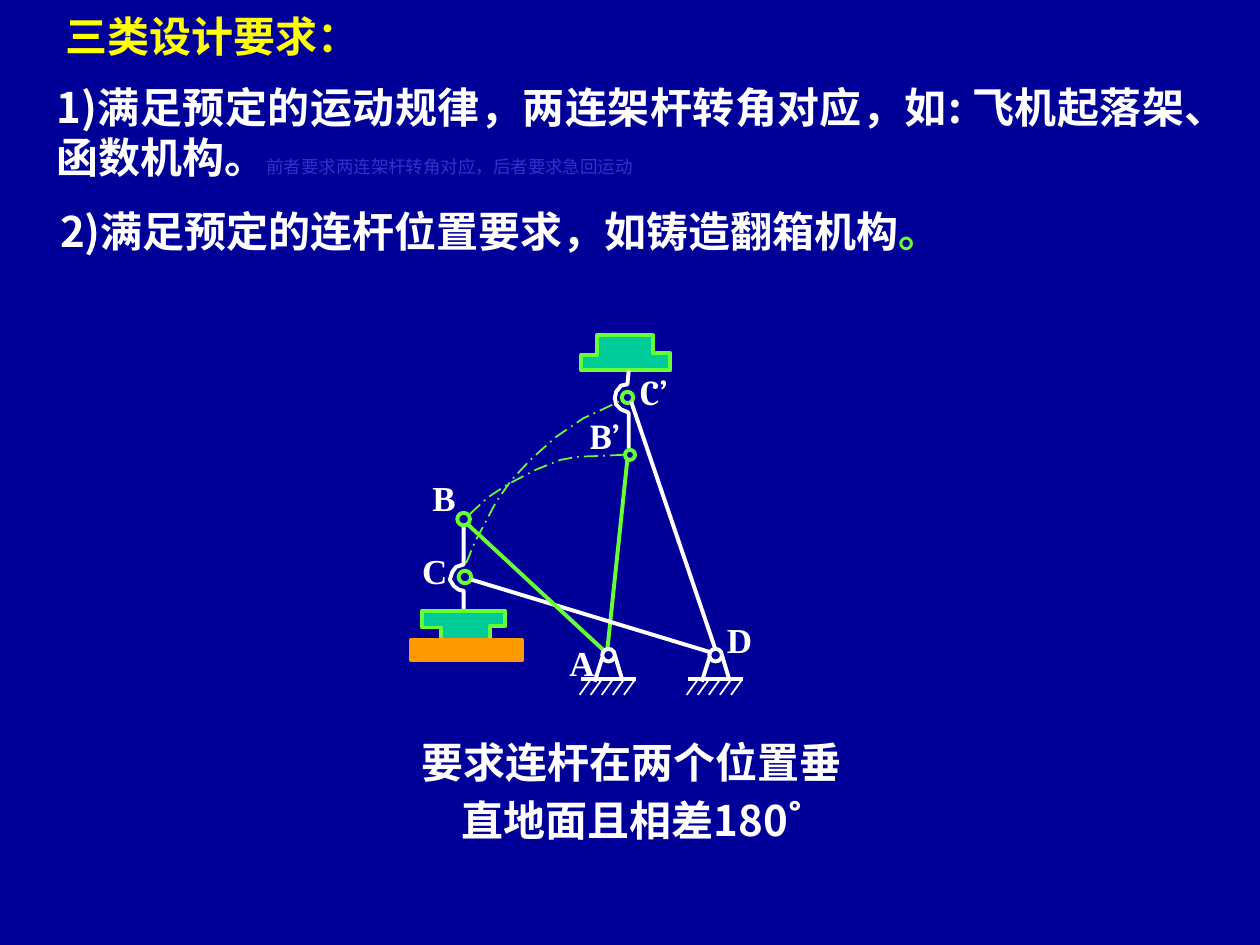
from dataclasses import dataclass

from lxml.etree import SubElement
from pptx import Presentation
from pptx.dml.color import RGBColor
from pptx.enum.dml import MSO_LINE
from pptx.enum.shapes import MSO_CONNECTOR, MSO_SHAPE as SHAPE
from pptx.enum.text import PP_ALIGN as ALIGN
from pptx.oxml.ns import qn
from pptx.util import Inches, Pt


@dataclass(frozen=True)
class Theme:
    """Colours, fonts and sizes of the slide."""
    back: str = "000099"
    white: str = "FFFFFF"
    yellow: str = "FFFF00"
    green: str = "66FF33"
    teal: str = "00CC99"
    orange: str = "FF9900"
    faint: str = "3333CC"
    cjk: str = "Noto Sans CJK SC"
    roman: str = "Times New Roman"
    primed: str = "Cambria"
    body: float = 24
    label: float = 20
    remark: float = 10
    thick: float = 2.25
    thin: float = 1


class Board:
    """Draws on one slide, laid out as 100 columns by 75 rows."""

    def __init__(self, deck, theme):
        """Add a blank slide with the theme's background."""
        self.theme = theme
        self.cell = deck.slide_width / 100
        self.slide = deck.slides.add_slide(deck.slide_layouts[6])
        backdrop = self.slide.background.fill
        backdrop.solid()
        backdrop.fore_color.rgb = RGBColor.from_string(theme.back)

    def grid(self, *cells):
        """Turn grid cells into slide lengths."""
        return [round(value * self.cell) for value in cells]

    def paint(self, shape, line, fill=None, weight=None, dash=None):
        """Set fill and outline of a shape."""
        shape.shadow.inherit = False
        if fill:
            shape.fill.solid()
            shape.fill.fore_color.rgb = RGBColor.from_string(fill)
        else:
            shape.fill.background()
        shape.line.color.rgb = RGBColor.from_string(line)
        shape.line.width = Pt(weight or self.theme.thick)
        if dash:
            shape.line.dash_style = dash

    def outline(self, points, line, fill=None, closed=False, **style):
        """Draw a freeform through grid points."""
        start, *others = [self.grid(*point) for point in points]
        builder = self.slide.shapes.build_freeform(*start)
        builder.add_line_segments(others, close=closed)
        self.paint(builder.convert_to_shape(), line, fill, **style)

    def block(self, kind, left, top, width, height, line, fill=None):
        """Draw a preset shape."""
        place = self.grid(left, top, width, height)
        self.paint(self.slide.shapes.add_shape(kind, *place), line, fill)

    def joint(self, x, y, line, fill=None, size=1):
        """Draw a round joint about its centre."""
        self.block(SHAPE.OVAL, x - size / 2, y - size / 2, size, size, line, fill)

    def rod(self, x1, y1, x2, y2, color, weight=None):
        """Draw a straight line."""
        bar = self.slide.shapes.add_connector(
            MSO_CONNECTOR.STRAIGHT, *self.grid(x1, y1, x2, y2))
        SubElement(bar.line._get_or_add_ln().getparent(), qn("a:effectLst"))
        bar.line.color.rgb = RGBColor.from_string(color)
        bar.line.width = Pt(weight or self.theme.thick)

    def support(self, x):
        """Draw a hatched ground support below a pivot at column x."""
        white = self.theme.white
        self.joint(x, 52, white, self.theme.back)
        self.rod(x - 0.5, 52.2, x - 1.1, 54.1, white)
        self.rod(x + 0.5, 52, x + 1.1, 54, white)
        self.rod(x - 2.2, 53.9, x + 2.2, 53.9, white)
        for step in range(5):
            top = x - 1.4 + 0.88 * step
            self.rod(top, 53.9, top - 0.9, 55.15, white, self.theme.thin)

    def text(self, place, pieces, font, align, spacing=None, insets=(0, 0), wrap=True):
        """Write one paragraph of (words, size, bold, colour) pieces."""
        frame = self.slide.shapes.add_textbox(*self.grid(*place)).text_frame
        frame.word_wrap = wrap
        side, top = self.grid(*insets)
        frame.margin_left = frame.margin_right = side
        frame.margin_top, frame.margin_bottom = top, 0
        paragraph = frame.paragraphs[0]
        paragraph.alignment = align
        if spacing:
            paragraph.line_spacing = Pt(spacing)
        for words, size, bold, color in pieces:
            run = paragraph.add_run()
            run.text = words
            run.font.size, run.font.bold = Pt(size), bold
            run.font.color.rgb = RGBColor.from_string(color)
            run.font.name = font
            east = self.theme.cjk if wrap else font
            SubElement(run.font._element, qn("a:ea"), typeface=east)

    def label(self, left, top, width, name, font):
        """Name a joint."""
        theme = self.theme
        self.text((left, top, width, 3.3), [(name, theme.label, True, theme.white)],
                  font, ALIGN.CENTER, wrap=False)


def draw_linkage(board):
    """Draw the mould-turning linkage in both positions."""
    theme = board.theme
    white, green = theme.white, theme.green
    board.outline([(47.4, 28.2), (47.4, 26.6), (51.8, 26.6), (51.8, 28), (53.2, 28),
                   (53.2, 29.4), (46.1, 29.4), (46.1, 28.2)],
                  green, theme.teal, closed=True)
    board.outline([(49.9, 29.4), (49.8, 30.5), (49.3, 30.6), (48.9, 31.1), (48.8, 31.6),
                   (48.9, 32.1), (49.3, 32.5), (49.8, 32.7), (49.9, 32.8), (49.9, 35.6)],
                  white)
    board.joint(49.8, 31.55, green, size=0.9)
    board.joint(50, 36.1, green, size=0.8)
    board.rod(49.8, 36.4, 48.2, 51.6, green)
    board.rod(50.1, 31.9, 56.8, 51.6, white)
    path_c = [(37, 44.7), (37.7, 43), (38.4, 41.7), (39.4, 39.8), (40.6, 38.1),
              (42.1, 36.5), (44.1, 34.7), (46.3, 33.2), (49.3, 31.8)]
    path_b = [(37.3, 40.8), (38.7, 39.5), (40.2, 38.5), (42.5, 37.3), (44.5, 36.5),
              (45.9, 36.25), (47.4, 36.2), (49.5, 36.1)]
    for trace in (path_c, path_b):
        board.outline(trace, green, weight=theme.thin, dash=MSO_LINE.LONG_DASH_DOT)

    board.outline([(36.8, 41.8), (36.8, 44.8), (36.2, 45), (35.9, 45.4), (35.7, 46),
                   (36, 46.5), (36.4, 46.8), (36.8, 46.9), (36.8, 48.5)], white)
    board.outline([(35, 49.8), (33.5, 49.8), (33.5, 48.5), (40.1, 48.5), (40.1, 49.7),
                   (38.9, 49.7), (38.9, 50.8), (41.4, 50.8), (41.4, 52.4), (32.8, 52.4),
                   (32.8, 50.9), (35, 50.9)], green, theme.teal, closed=True)
    board.joint(36.9, 45.8, green, theme.back)
    board.joint(36.8, 41.2, green, theme.back)
    board.rod(37.4, 46, 56.5, 51.8, white)
    board.rod(37.1, 41.6, 47.9, 51.6, green)
    for pivot in (48.3, 56.8):
        board.support(pivot)
    board.block(SHAPE.RECTANGLE, 32.6, 50.8, 8.8, 1.6, theme.orange, theme.orange)
    for left, top, width, name, font in (
            (50.5, 29.4, 2.8, "C’", theme.primed), (46.7, 32.9, 2.6, "B’", theme.primed),
            (45.2, 50.9, 2, "A", theme.roman), (34.3, 37.8, 1.9, "B", theme.roman),
            (57.7, 49.1, 2, "D", theme.roman), (33.5, 43.6, 2, "C", theme.roman)):
        board.label(left, top, width, name, font)


def main():
    """Build and save the slide."""
    theme = Theme()
    deck = Presentation()
    deck.slide_width, deck.slide_height = Inches(10), Inches(7.5)
    board = Board(deck, theme)
    strong = (theme.body, True)
    requirements = (
        ((4.2, 0, 27.5, 5), theme.roman, [("三类设计要求：", *strong, theme.yellow)]),
        ((3.5, 5.6, 91.5, 9), theme.cjk, [
            ("1)满足预定的运动规律，两连架杆转角对应，如: 飞机起落架、函数机构。",
             *strong, theme.white),
            ("前者要求两连架杆转角对应，后者要求急回运动", theme.remark, False, theme.faint)]),
        ((3.8, 15.4, 86.7, 5), theme.cjk, [
            ("2)满足预定的连杆位置要求，如铸造翻箱机构", *strong, theme.white),
            ("。", *strong, theme.green)]))
    for place, font, pieces in requirements:
        board.text(place, pieces, font, ALIGN.JUSTIFY, spacing=28.6, insets=(1, 0.9))
    draw_linkage(board)
    board.text((31.2, 57.6, 37.9, 9.7),
               [("要求连杆在两个位置垂直地面且相差180˚", *strong, theme.white)],
               theme.cjk, ALIGN.CENTER, spacing=33, insets=(1, 0.3))
    deck.save("out.pptx")


if __name__ == "__main__":
    main()
